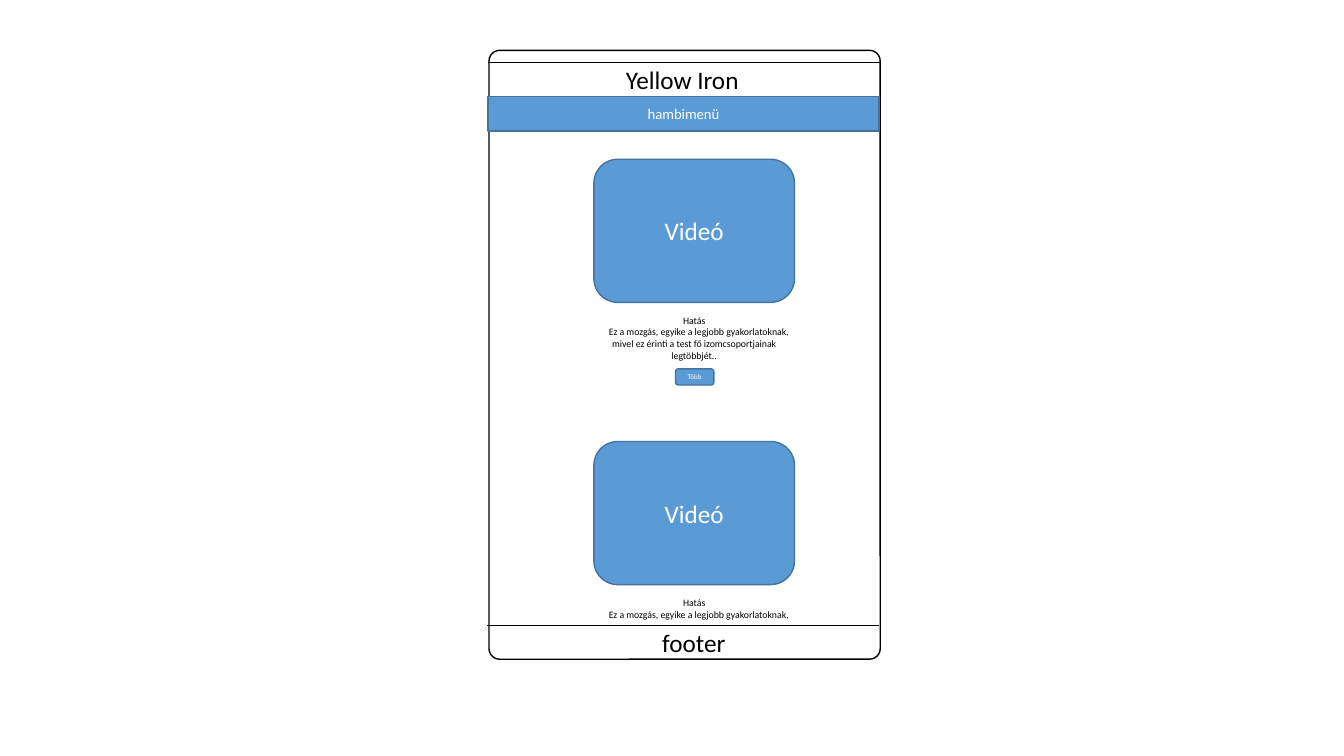
import pptx
import pptx.dml.color
import pptx.enum.shapes
import pptx.enum.text
import pptx.oxml
import pptx.util

Inches = pptx.util.Inches
Pt = pptx.util.Pt
KIND = pptx.enum.shapes.MSO_SHAPE
ALIGN = pptx.enum.text.PP_ALIGN
BLUE, EDGE, BLACK, WHITE = "5B9BD5", "43739E", "000000", "FFFFFF"
LEAD = "Ez a mozgás, egyike a legjobb gyakorlatoknak,"
REST = " mivel ez érinti a test fő izomcsoportjainak legtöbbjét.."


def tint(hue):
    """Turn a hex string into a colour."""
    return pptx.dml.color.RGBColor.from_string(hue)


def style(frame, size, hue, align):
    """Set font and alignment of every paragraph."""
    for para in frame.paragraphs:
        para.alignment = align
        for run in para.runs:
            run.font.name = "Calibri"
            run.font.size = Pt(size)
            run.font.color.rgb = tint(hue)


def panel(slide, kind, box, text="", size=18, fill=BLUE, edge=EDGE):
    """Draw a filled shape with a centred label."""
    shape = slide.shapes.add_shape(kind, *map(Inches, box))
    shape.shadow.inherit = False
    shape.fill.solid()
    shape.fill.fore_color.rgb = tint(fill)
    shape.line.color.rgb = tint(edge)
    shape.line.width = Pt(1)
    if text:
        frame = shape.text_frame
        frame.text = text
        frame.vertical_anchor = pptx.enum.text.MSO_ANCHOR.MIDDLE
        style(frame, size, WHITE, ALIGN.CENTER)
    return shape


def label(slide, box, text, size=18, align=ALIGN.LEFT, wrap=False):
    """Add a text box and return its frame."""
    frame = slide.shapes.add_textbox(*map(Inches, box)).text_frame
    frame.text = text
    frame.word_wrap = wrap
    style(frame, size, BLACK, align)
    return frame


def rule(slide, left, top, width):
    """Draw a thin level line."""
    line = slide.shapes.add_connector(
        pptx.enum.shapes.MSO_CONNECTOR.STRAIGHT,
        *map(Inches, (left, top, left + width, top)))
    line.line.color.rgb = tint(BLACK)
    line.line.width = Pt(0.5)
    props = line._element.spPr
    props.append(pptx.oxml.parse_xml(
        '<a:effectLst xmlns:a="http://schemas.openxmlformats.org/drawingml/2006/main"/>'))


def card(slide, top, text, height):
    """Draw a video tile with its caption."""
    panel(slide, KIND.ROUNDED_RECTANGLE, (5.89, top, 1.99, 1.42), "Videó")
    frame = label(slide, (5.82, top + 1.49, 2.13, height), "Hatás\n" + text,
                  7, ALIGN.CENTER, True)
    body = frame.paragraphs[1]._p.get_or_add_pPr()
    body.set("indent", str(Inches(0.09)))


def main():
    """Build the mobile page sketch."""
    deck = pptx.Presentation()
    deck.slide_width = Inches(13.33)
    deck.slide_height = Inches(7.5)
    slide = deck.slides.add_slide(deck.slide_layouts[6])

    phone = panel(slide, KIND.ROUNDED_RECTANGLE, (4.85, 0.5, 3.88, 6.04),
                  fill=WHITE, edge=BLACK)
    phone.adjustments[0] = 0.027
    rule(slide, 4.84, 0.62, 3.89)
    rule(slide, 4.83, 6.2, 3.89)
    panel(slide, KIND.RECTANGLE, (4.84, 0.96, 3.88, 0.34), "hambimenü", 10.5)
    label(slide, (6.47, 6.17, 0.83, 0.4), "footer")
    label(slide, (6.11, 0.59, 1.36, 0.4), "Yellow Iron")

    card(slide, 1.58, LEAD + REST, 0.57)
    panel(slide, KIND.ROUNDED_RECTANGLE, (6.7, 3.66, 0.38, 0.16), "Több", 5)
    card(slide, 4.38, LEAD, 0.34)
    deck.save("out.pptx")


main()
